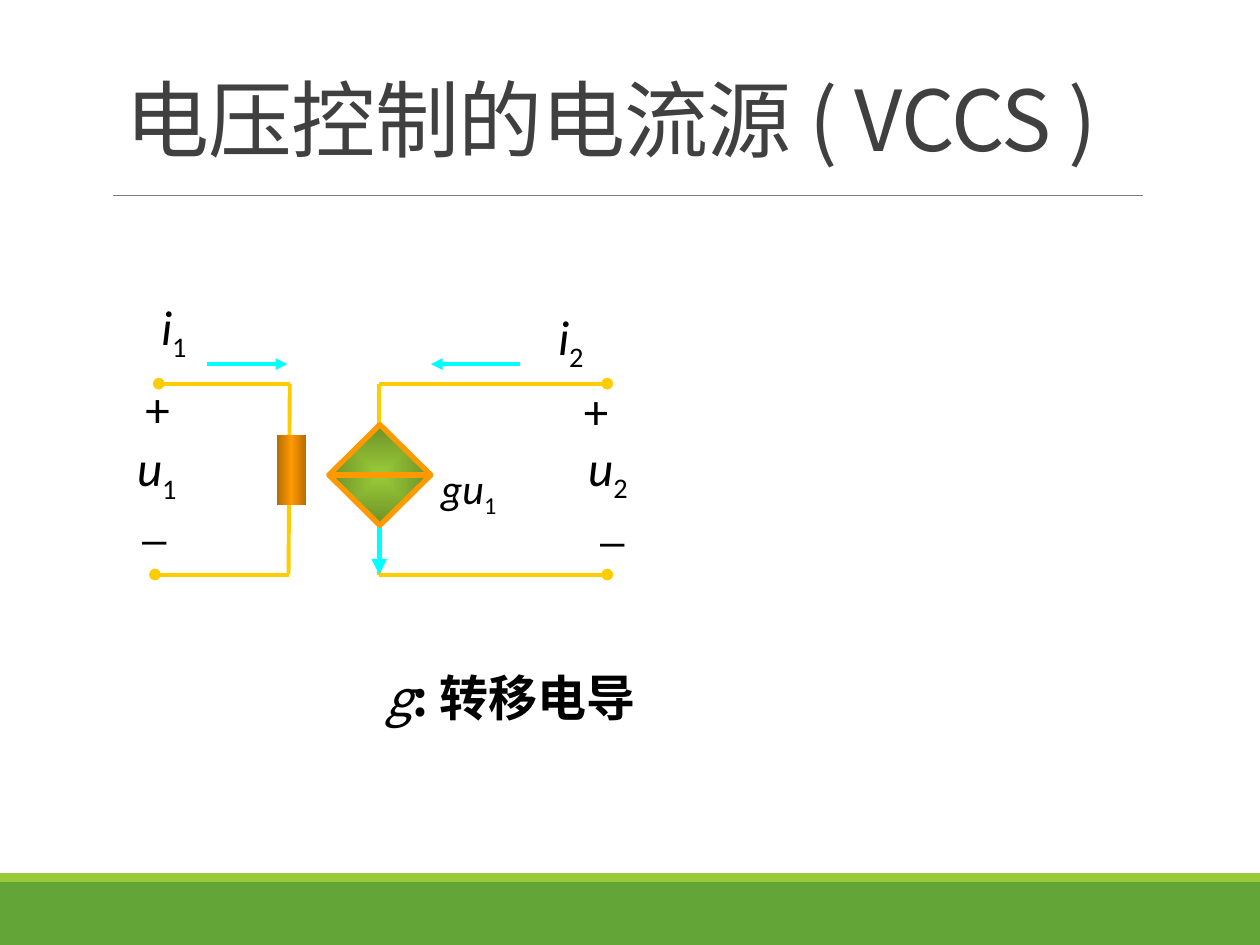
from dataclasses import dataclass

from lxml.etree import SubElement
from pptx import Presentation
from pptx.dml.color import RGBColor
from pptx.enum.shapes import MSO_CONNECTOR, MSO_SHAPE
from pptx.enum.text import MSO_ANCHOR, PP_ALIGN
from pptx.oxml import parse_xml
from pptx.oxml.ns import nsdecls, qn
from pptx.util import Inches, Pt

COLORS = {
    "wire": "FFCC00", "arrow": "00FFFF", "orange": "FF9900", "lime": "99CB38",
    "green": "63A537", "rule": "808080", "title": "404040", "text": "000000",
}
CJK, LATIN = "Noto Sans CJK SC", "Calibri"
COLS, ROWS = 100, 75  # slide grid
LEFT_X, RIGHT_X, TOP_Y, BOTTOM_Y = 22.9, 30.1, 30.45, 45.6

prs = Presentation()
prs.slide_width, prs.slide_height = Inches(10), Inches(7.5)
s = prs.slides.add_slide(prs.slide_layouts[6])


@dataclass
class Line:
    x1: float
    y1: float
    x2: float
    y2: float
    color: str = "wire"
    width: float = 2.25
    tail: str = ""


@dataclass
class Run:
    text: str
    italic: bool = False
    bold: bool = False
    sub: bool = False


@dataclass
class Label:
    x: float
    y: float
    w: float
    h: float
    runs: list[Run]
    size: int = 28
    font: str = LATIN
    color: str = "text"
    align: PP_ALIGN = PP_ALIGN.CENTER
    anchor: MSO_ANCHOR = MSO_ANCHOR.MIDDLE


def col(n: float) -> int:
    return round(prs.slide_width * n / COLS)


def row(n: float) -> int:
    return round(prs.slide_height * n / ROWS)


def rgb(name: str) -> RGBColor:
    return RGBColor.from_string(COLORS[name])


def draw_line(line: Line) -> None:
    c = s.shapes.add_connector(MSO_CONNECTOR.STRAIGHT, col(line.x1), row(line.y1),
                               col(line.x2), row(line.y2))
    c.line.color.rgb, c.line.width = rgb(line.color), Pt(line.width)
    if line.tail:
        SubElement(c.line._get_or_add_ln(), qn("a:tailEnd"), type=line.tail)
    SubElement(c._element.spPr, qn("a:effectLst"))


def draw_shape(kind: MSO_SHAPE, x: float, y: float, w: float, h: float,
               fill: str, outline: str = ""):
    sp = s.shapes.add_shape(kind, col(x), row(y), col(w), row(h))
    sp.shadow.inherit = False
    sp.fill.solid()
    sp.fill.fore_color.rgb = rgb(fill)
    if outline:
        sp.line.color.rgb, sp.line.width = rgb(outline), Pt(3)
    else:
        sp.line.fill.background()
    return sp


def shade_fill(sp, color: str, stops: dict[int, bool], direction: str) -> None:
    """Replace the solid fill by a gradient; a True stop is darkened."""
    dark = '<a:shade val="46275"/>'
    gs = "".join(f'<a:gs pos="{pos * 1000}"><a:srgbClr val="{COLORS[color]}">'
                 f'{dark if dim else ""}</a:srgbClr></a:gs>' for pos, dim in stops.items())
    solid = sp._element.spPr.find(qn("a:solidFill"))
    solid.getparent().replace(solid, parse_xml(
        f'<a:gradFill {nsdecls("a")} rotWithShape="1"><a:gsLst>{gs}</a:gsLst>'
        f'{direction}</a:gradFill>'))


def draw_label(label: Label):
    tf = s.shapes.add_textbox(col(label.x), row(label.y), col(label.w),
                              row(label.h)).text_frame
    tf.word_wrap, tf.vertical_anchor = True, label.anchor
    p = tf.paragraphs[0]
    p.alignment = label.align
    p.font.size, p.font.name = Pt(label.size), label.font
    p.font.color.rgb = rgb(label.color)
    for part in label.runs:
        r = p.add_run()
        r.text = part.text
        f = r.font
        f.size, f.name = Pt(label.size), label.font
        f.color.rgb = rgb(label.color)
        f.italic, f.bold = part.italic, part.bold
        if part.sub:
            f._element.set("baseline", "-25000")
        if label.font == CJK:
            f._element.find(qn("a:latin")).addnext(
                parse_xml(f'<a:ea {nsdecls("a")} typeface="{CJK}"/>'))
    return p


def symbol(name: str, index: str) -> list[Run]:
    return [Run(name, italic=True), Run(index, sub=True)]


# Footer bands and title rule
draw_shape(MSO_SHAPE.RECTANGLE, 0, 70, COLS, 5, "green")
draw_shape(MSO_SHAPE.RECTANGLE, 0, 69.3, COLS, 0.7, "lime")
draw_line(Line(9, 15.5, 90.7, 15.5, "rule", 0.5))

# Title
title = draw_label(Label(9, 3.1, 82.5, 10.8, [Run("电压控制的电流源 ( VCCS )")], 48, CJK,
                         "title", PP_ALIGN.LEFT, MSO_ANCHOR.BOTTOM))
title.line_spacing = 0.85
title.runs[0].font._element.set("spc", "-50")

# Wires with terminals, then current arrows
for line in (
    Line(RIGHT_X, TOP_Y, RIGHT_X, BOTTOM_Y),
    Line(RIGHT_X, BOTTOM_Y, 48.2, BOTTOM_Y, tail="oval"),
    Line(RIGHT_X, TOP_Y, 48.2, TOP_Y, tail="oval"),
    Line(23, TOP_Y, 12.6, TOP_Y, tail="oval"),
    Line(23, TOP_Y, LEFT_X, BOTTOM_Y),
    Line(LEFT_X, BOTTOM_Y, 12.3, BOTTOM_Y, tail="oval"),
    Line(41.3, 28.9, 34.2, 28.9, "arrow", tail="triangle"),
    Line(16.4, 28.9, 22.8, 28.9, "arrow", tail="triangle"),
    Line(RIGHT_X, 41.6, RIGHT_X, BOTTOM_Y, "arrow", 3, "triangle"),
):
    draw_line(line)

# Controlled source and input resistor
source = draw_shape(MSO_SHAPE.FLOWCHART_SORT, 26.1, 33.7, 8.1, 8, "lime", "orange")
shade_fill(source, "lime", {0: False, 100: True},
           '<a:path path="shape"><a:fillToRect l="50000" t="50000" r="50000" b="50000"/></a:path>')
resistor = draw_shape(MSO_SHAPE.RECTANGLE, 22, 34.5, 2.3, 5.6, "orange")
shade_fill(resistor, "orange", {0: True, 50: False, 100: True}, '<a:lin ang="0" scaled="1"/>')

# Circuit labels and caption
for label in (
    Label(9.1, 23.3, 9.4, 5.7, symbol("i", "1")),
    Label(9.9, 29.5, 5.2, 5.7, [Run("+")]),
    Label(8.1, 34.5, 8.7, 5.8, symbol("u", "1")),
    Label(10.3, 38.3, 3.9, 5.7, [Run("_")]),
    Label(41.4, 24.1, 7.8, 5.7, symbol("i", "2")),
    Label(44.7, 29.7, 5.2, 5.7, [Run("+")]),
    Label(43.9, 34.5, 8.7, 5.7, symbol("u", "2")),
    Label(45.5, 38.5, 6.2, 5.7, [Run("_")]),
    Label(32.7, 35.4, 9, 7.1, symbol("gu", "1"), 24),
    Label(29.6, 52.5, 37.3, 5.7, [Run("g", italic=True), Run(": 转移电导", bold=True)],
          font=CJK, align=PP_ALIGN.LEFT),
):
    draw_label(label)

prs.save("out.pptx")
